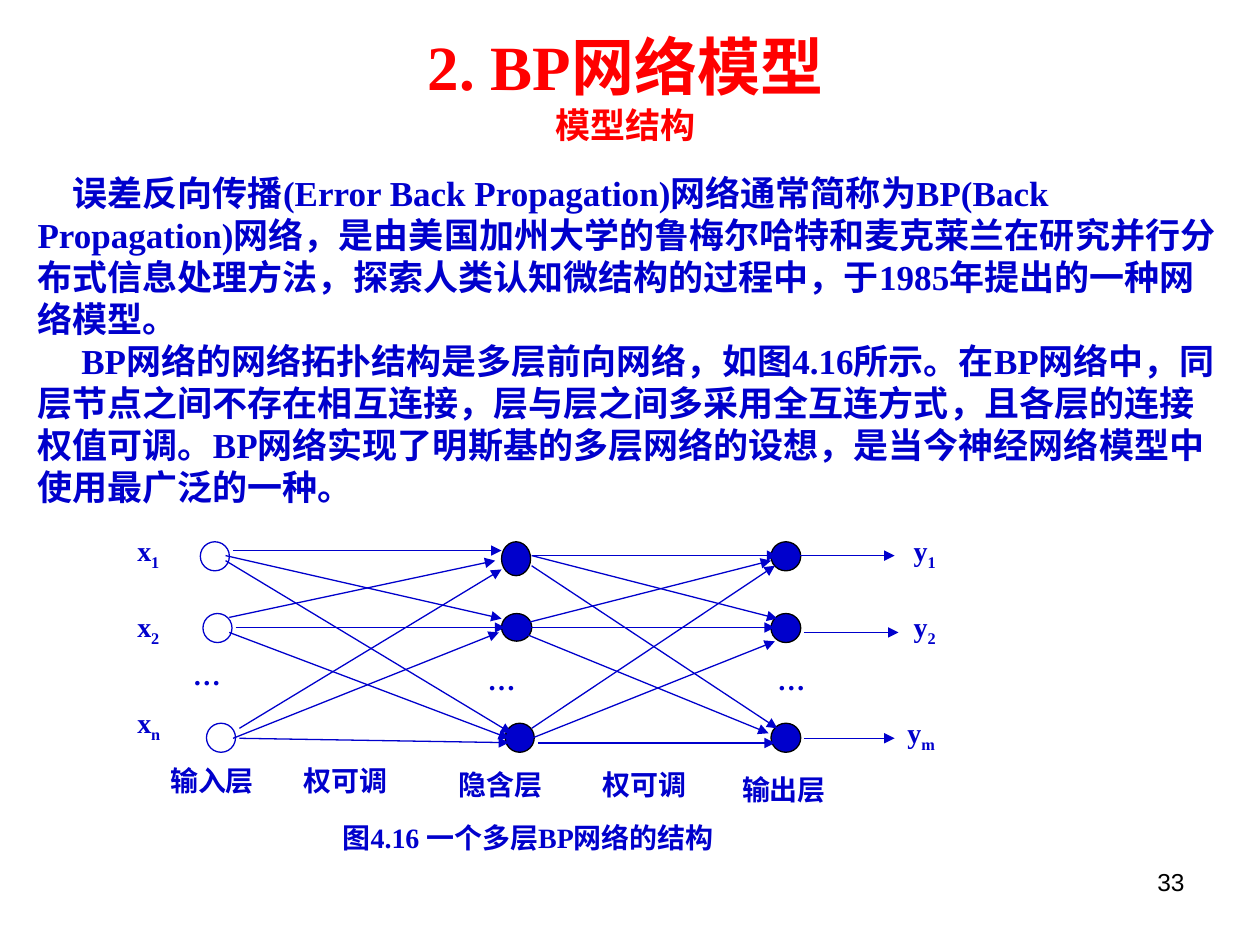
from dataclasses import dataclass

from lxml.etree import SubElement
from pptx import Presentation
from pptx.dml.color import RGBColor
from pptx.enum.shapes import MSO_CONNECTOR, MSO_SHAPE
from pptx.enum.text import MSO_ANCHOR, MSO_AUTO_SIZE, PP_ALIGN
from pptx.oxml.ns import qn
from pptx.util import Pt


@dataclass(frozen=True)
class Theme:
    red: RGBColor = RGBColor(0xFF, 0, 0)
    blue: RGBColor = RGBColor(0, 0, 0xCC)
    black: RGBColor = RGBColor(0, 0, 0)
    white: RGBColor = RGBColor(0xFF, 0xFF, 0xFF)
    serif: str = "Times New Roman"
    sans: str = "Arial"
    title: int = 36
    body: int = 20
    label: int = 16
    number: int = 14
    line: float = 0.75


THEME = Theme()

BODY = [
    ("误差反向传播(Error Back Propagation)网络通常简称为BP(Back Propagation)网络，"
     "是由美国加州大学的鲁梅尔哈特和麦克莱兰在研究并行分布式信息处理方法，"
     "探索人类认知微结构的过程中，于1985年提出的一种网络模型。", 20),
    ("BP网络的网络拓扑结构是多层前向网络，如图4.16所示。在BP网络中，"
     "同层节点之间不存在相互连接，层与层之间多采用全互连方式，且各层的连接权值可调。"
     "BP网络实现了明斯基的多层网络的设想，是当今神经网络模型中使用最广泛的一种。", 25),
]

# Diagram positions are points from the diagram's top left corner
ROW_TOPS = (5.6, 46.6, 109.3)
INPUT_NODES = [(x, y, 16.6, 16.6) for x, y in zip((37.5, 39, 41), ROW_TOPS)]
HIDDEN_NODES = [(209.6, ROW_TOPS[0], 16.6, 19.4), (209.6, ROW_TOPS[1], 17.3, 15.8),
                (211.7, ROW_TOPS[2], 16.6, 16.6)]
OUTPUT_NODES = [(363.6, y, 17, 16.6) for y in ROW_TOPS]

INPUT_TO_HIDDEN = [
    (56.2, 10.6, 209.6, 10.6), (51.9, 13.5, 209.6, 49.5), (51.9, 16.4, 215.3, 115),
    (54, 48.8, 206, 16.4), (57.6, 54.6, 211.7, 54.6), (54, 57.4, 213.9, 117.9),
    (59.8, 112.2, 209.6, 21.4), (56.2, 117.9, 208.1, 57.4), (59.8, 117.9, 213.9, 120.4),
]
HIDDEN_TO_OUTPUT = [
    (226.8, 13.5, 367.2, 13.5), (226.8, 13.5, 367.2, 49.5), (226.8, 19.3, 367.2, 112.2),
    (224.7, 51.7, 363.6, 16.4), (224.7, 54.6, 365.8, 54.6), (221.1, 57.4, 362.2, 115),
    (226.8, 112.2, 365.8, 19.3), (226.8, 117.9, 365.8, 62.5), (230.4, 120.6, 365.8, 120.6),
]
OUTPUTS = [(380.2, 13.5, 434.2, 13.5), (382.4, 57.4, 436.4, 57.4),
           (382.4, 117.9, 434.2, 117.9)]

SIGNALS = [
    ("x", "1", 0, 0), ("x", "2", 0, 43.8), ("x", "n", 0, 98.5),
    ("y", "1", 443.6, 0), ("y", "2", 443.6, 43.8), ("y", "m", 440, 104.2),
]
LABELS = [
    ("输入层", 18.8, 131.6, 60), ("权可调", 95.1, 131.6, 56), ("隐含层", 183.6, 133.8, 60),
    ("权可调", 265.7, 133.8, 60), ("输出层", 345.6, 136.6, 60),
    ("…", 31.7, 71.1, 37), ("…", 200.2, 74, 37), ("…", 365.8, 74, 37),
    ("图4.16 一个多层BP网络的结构", 117.4, 164, 241),
]


def add_text(paragraph, text, *, size, color=THEME.blue, font=THEME.serif,
             bold=True, align=None, indent=0, subscript=""):
    """Write text, and an optional subscript, into a paragraph."""
    if align is not None:
        paragraph.alignment = align
    if indent:
        paragraph._p.get_or_add_pPr().set("indent", str(Pt(indent)))
    for part in filter(None, (text, subscript)):
        run = paragraph.add_run()
        run.text = part
        run.font.size = Pt(size)
        run.font.name = font
        run.font.bold = bold
        run.font.color.rgb = color
    if subscript:
        run.font._element.set("baseline", "-25000")


def add_frame(slide, box, margins=(7.2, 3.6)):
    frame = slide.shapes.add_textbox(*map(Pt, box)).text_frame
    frame.word_wrap = True
    frame.margin_left = frame.margin_right = Pt(margins[0])
    frame.margin_top = frame.margin_bottom = Pt(margins[1])
    return frame


def add_title(slide, box):
    title = slide.shapes.title
    title.left, title.top, title.width, title.height = map(Pt, box)
    frame = title.text_frame
    frame.auto_size = MSO_AUTO_SIZE.NONE
    frame.vertical_anchor = MSO_ANCHOR.TOP
    heading, subheading = frame.paragraphs[0], frame.add_paragraph()
    for paragraph, text, size in ((heading, "2. BP网络模型", THEME.title),
                                  (subheading, "模型结构", THEME.body)):
        add_text(paragraph, text, size=size, color=THEME.red, align=PP_ALIGN.CENTER)


def add_body(slide, box):
    frame = add_frame(slide, box)
    for index, (text, indent) in enumerate(BODY):
        paragraph = frame.add_paragraph() if index else frame.paragraphs[0]
        add_text(paragraph, text, size=THEME.body, indent=indent)


def add_node(slide, box, fill, outline):
    node = slide.shapes.add_shape(MSO_SHAPE.OVAL, *map(Pt, box))
    node.shadow.inherit = False
    node.fill.solid()
    node.fill.fore_color.rgb = fill
    node.line.color.rgb = outline
    node.line.width = Pt(THEME.line)


def add_arrow(slide, ends):
    arrow = slide.shapes.add_connector(MSO_CONNECTOR.STRAIGHT, *map(Pt, ends))
    arrow.line.color.rgb = THEME.blue
    arrow.line.width = Pt(THEME.line)
    SubElement(arrow.line._get_or_add_ln(), qn("a:tailEnd"), type="triangle")
    SubElement(arrow._element.spPr, qn("a:effectLst"))


def add_network(slide, box):
    left, top, _, _ = box

    # Neurons, layer by layer
    for nodes, fill, outline in ((INPUT_NODES, THEME.white, THEME.blue),
                                 (HIDDEN_NODES, THEME.blue, THEME.black),
                                 (OUTPUT_NODES, THEME.blue, THEME.black)):
        for x, y, width, height in nodes:
            add_node(slide, (left + x, top + y, width, height), fill, outline)

    # Weighted connections and outputs
    for x1, y1, x2, y2 in INPUT_TO_HIDDEN + HIDDEN_TO_OUTPUT + OUTPUTS:
        add_arrow(slide, (left + x1, top + y1, left + x2, top + y2))

    # Signal names, layer names and caption
    names = [(text, sub, x, y, 32) for text, sub, x, y in SIGNALS]
    names += [(text, "", x, y, width) for text, x, y, width in LABELS]
    for text, sub, x, y, width in names:
        frame = add_frame(slide, (left + x, top + y, width, 30), margins=(1.44, 0.72))
        add_text(frame.paragraphs[0], text, subscript=sub, size=THEME.label,
                 align=PP_ALIGN.JUSTIFY)


def add_page_number(slide, box):
    frame = add_frame(slide, box)
    add_text(frame.paragraphs[0], "33", size=THEME.number, font=THEME.sans,
             color=THEME.black, bold=False, align=PP_ALIGN.RIGHT)


def main():
    deck = Presentation()
    deck.slide_width, deck.slide_height = Pt(720), Pt(540)
    slide = deck.slides.add_slide(deck.slide_layouts[5])
    add_title(slide, (62.6, 12.2, 589.7, 75))
    add_body(slide, (14.4, 94.3, 689, 199.4))
    add_network(slide, (77, 304, 476, 194))
    add_page_number(slide, (516.2, 491.8, 167.8, 37.4))
    deck.save("out.pptx")


if __name__ == "__main__":
    main()
